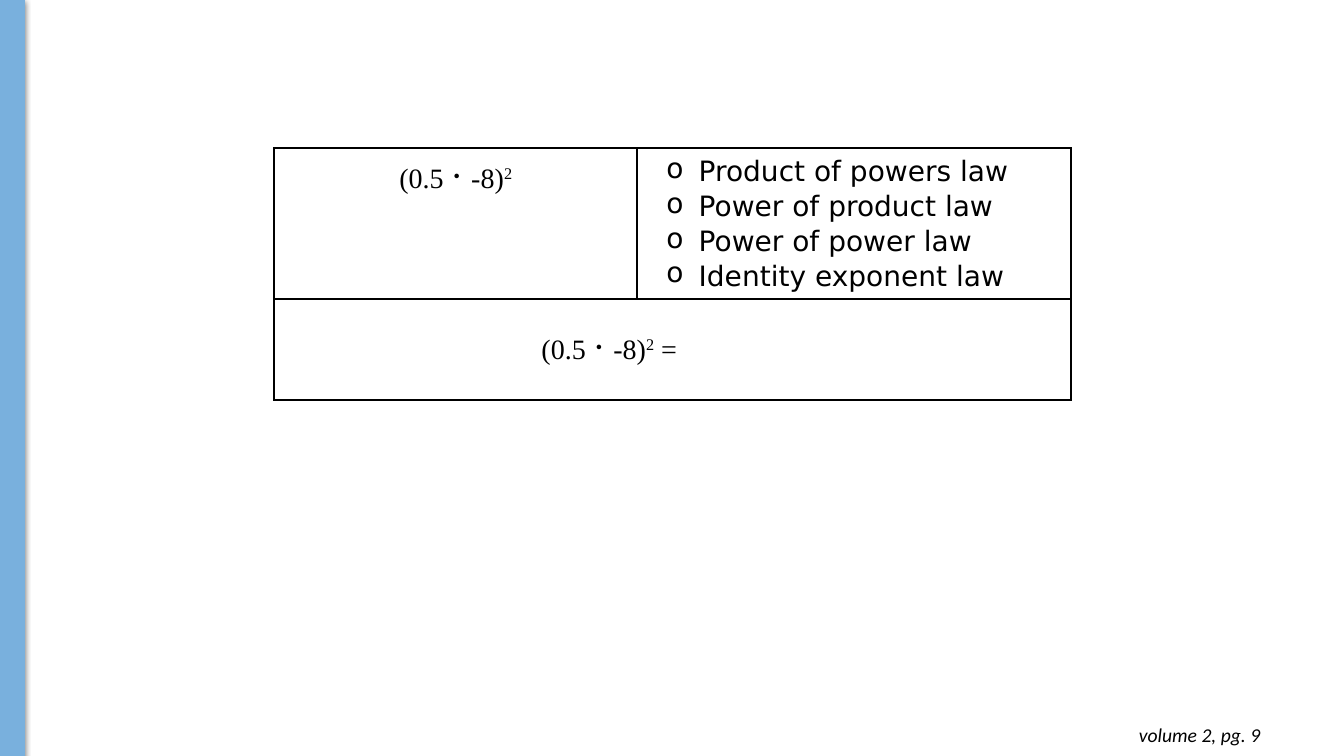
from pptx import Presentation
from pptx.dml.color import RGBColor
from pptx.enum.shapes import MSO_SHAPE
from pptx.enum.text import MSO_ANCHOR, MSO_AUTO_SIZE, PP_ALIGN
from pptx.oxml import parse_xml
from pptx.oxml.ns import nsdecls
from pptx.util import Inches, Pt

# Content
POWER = [("(0.5 ⠂-8)", False), ("2", True)]
ANSWER = POWER + [(" =", False)]
LAWS = [
    "Product of powers law",
    "Power of product law",
    "Power of power law",
    "Identity exponent law",
]
PAGE = "volume 2, pg. 9"
COLS = (3.6, 4.3)
ROWS = (1.5, 1)

BLACK = RGBColor(0, 0, 0)
BLUE = RGBColor(0x79, 0xB0, 0xDD)
SERIF, SANS, FOOT = "Times New Roman", "DejaVu Sans", "Calibri"


def add_run(para, text, face, size=20, raised=False):
    run = para.add_run()
    run.text = text
    font = run.font
    font.name, font.size = face, Pt(size)
    font.color.rgb = BLACK
    if raised:
        run._r.get_or_add_rPr().set("baseline", "30000")
    return run


def set_pad(box, side, top):
    box.margin_left = box.margin_right = Inches(side)
    box.margin_top = box.margin_bottom = Inches(top)


def set_dent(para, left, first):
    props = para._p.get_or_add_pPr()
    props.set("marL", str(Inches(left)))
    props.set("indent", str(Inches(first)))
    return props


def add_edges(cell):
    props = cell._tc.get_or_add_tcPr()
    for i, side in enumerate("LRTB"):
        props.insert(i, parse_xml(
            f'<a:ln{side} {nsdecls("a")} w="{Pt(1.5)}"><a:solidFill>'
            f'<a:srgbClr val="{BLACK}"/></a:solidFill></a:ln{side}>'))


deck = Presentation()
deck.slide_width, deck.slide_height = Inches(13.33), Inches(7.5)
slide = deck.slides.add_slide(deck.slide_layouts[6])
shapes = slide.shapes

# Side bar with soft shadow
bar = shapes.add_shape(MSO_SHAPE.RECTANGLE, 0, 0, Inches(0.24), Inches(7.51))
bar.fill.solid()
bar.fill.fore_color.rgb = BLUE
bar.line.color.rgb = BLUE
bar.line.width = Pt(0.75)
bar._element.spPr.append(parse_xml(
    f'<a:effectLst {nsdecls("a")}><a:outerShdw blurRad="{Pt(4.5)}" '
    f'dist="{Pt(1.5)}" dir="5400000" rotWithShape="0"><a:srgbClr val="{BLACK}">'
    '<a:alpha val="50000"/></a:srgbClr></a:outerShdw></a:effectLst>'))

# Table grid
table = shapes.add_table(
    len(ROWS), len(COLS), Inches(2.72), Inches(1.47),
    Inches(sum(COLS)), Inches(sum(ROWS))).table
table.first_row = table.horz_banding = False
for col, width in zip(table.columns, COLS):
    col.width = Inches(width)
for row, height in zip(table.rows, ROWS):
    row.height = Inches(height)
    for cell in row.cells:
        cell.fill.background()
        add_edges(cell)
table.cell(1, 0).merge(table.cell(1, 1))

# Expression cells
for row, parts in enumerate((POWER, ANSWER)):
    cell = table.cell(row, 0)
    set_pad(cell, 0.15, 0.15)
    para = cell.text_frame.paragraphs[0]
    for text, raised in parts:
        add_run(para, text, SERIF, raised=raised)
table.cell(0, 0).text_frame.paragraphs[0].alignment = PP_ALIGN.CENTER
table.cell(1, 0).vertical_anchor = MSO_ANCHOR.MIDDLE
set_dent(table.cell(1, 0).text_frame.paragraphs[0], 2.5, 0)

# List of laws
cell = table.cell(0, 1)
set_pad(cell, 0.1, 0.05)
frame = cell.text_frame
for i, law in enumerate(LAWS):
    para = frame.add_paragraph() if i else frame.paragraphs[0]
    props = set_dent(para, 0.51, -0.32)
    props.append(parse_xml(
        f'<a:buClr {nsdecls("a")}><a:srgbClr val="{BLACK}"/></a:buClr>'))
    props.append(parse_xml(f'<a:buChar {nsdecls("a")} char="o"/>'))
    para.line_spacing = 1.07
    add_run(para, law, SANS)

# Page note
note = shapes.add_textbox(
    Inches(9.72), Inches(7.07), Inches(2.88), Inches(0.44)).text_frame
note.word_wrap = True
note.auto_size = MSO_AUTO_SIZE.SHAPE_TO_FIT_TEXT
set_pad(note, 0.1, 0.1)
para = note.paragraphs[0]
para.alignment = PP_ALIGN.RIGHT
add_run(para, PAGE, FOOT, 14).font.italic = True

deck.save("out.pptx")
